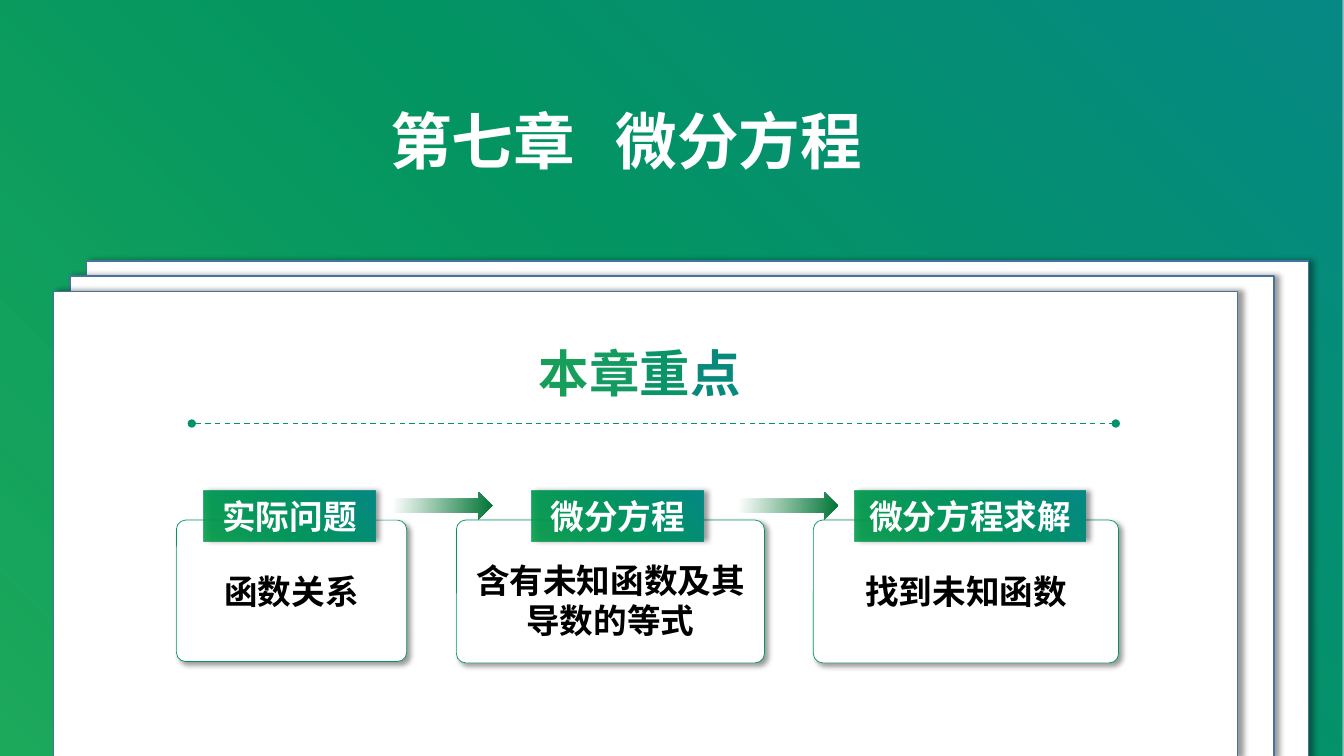
from dataclasses import dataclass

from lxml.etree import SubElement
from pptx import Presentation
from pptx.dml.color import RGBColor
from pptx.enum.dml import MSO_LINE_DASH_STYLE as Dash
from pptx.enum.shapes import MSO_CONNECTOR as Connector, MSO_SHAPE as Preset
from pptx.enum.text import MSO_ANCHOR as Anchor, PP_ALIGN as Align
from pptx.oxml import parse_xml
from pptx.oxml.ns import nsdecls, qn
from pptx.util import Pt

COLORS = {
    "white": "FFFFFF", "black": "000000", "sheet_edge": "43739E",
    "green": "009E47", "mid_green": "039463", "teal": "068885",
    "rule": "04926A", "arrow": "007434",
}
HEADING_COLORS = {"本": "189E5B", "章": "139B61", "重": "0B9467", "点": "078A7C"}
BODY_FONT, TITLE_FONT = "Calibri", "Noto Sans CJK SC"
BRAND_STOPS = ((0, "green", 88), (55, "mid_green", 100), (100, "teal", 100))
ARROW_STOPS = ((4, "white", 100), (100, "arrow", 100))
CORNER_PATH = ('<a:path path="circle"><a:fillToRect l="0" t="100000" '
               'r="100000" b="0"/></a:path>')
ARROW_PATH = '<a:lin ang="300000" scaled="0"/>'


@dataclass(frozen=True)
class Box:
    left: float
    top: float
    width: float
    height: float

    def lengths(self) -> tuple:
        return Pt(self.left), Pt(self.top), Pt(self.width), Pt(self.height)


@dataclass(frozen=True)
class Step:
    label: str
    lines: tuple
    card: Box
    tag: Box
    text_top: float


SHEETS = (Box(62, 186.5, 872.5, 355), Box(50, 197, 860, 344.5),
          Box(38, 208, 846, 333.5))
STEPS = (
    Step("实际问题", ("函数关系",),
         Box(126, 371.5, 164.5, 101), Box(145.5, 350.5, 122.5, 36), 404.5),
    Step("微分方程", ("含有未知函数及其", "导数的等式"),
         Box(326, 371.5, 220, 102), Box(380, 350.5, 122.5, 36), 396.5),
    Step("微分方程求解", ("找到未知函数",),
         Box(581, 371.5, 218, 102), Box(610.5, 350.5, 165, 36), 404),
)
ARROWS = (Box(278, 351.5, 73.5, 19.5), Box(525, 351.5, 73.5, 19.5))


def rgb(name: str) -> RGBColor:
    return RGBColor.from_string(COLORS[name])


def add_block(page, preset, box: Box, fill=None, edge=None, edge_width=1.0):
    shape = page.shapes.add_shape(preset, *box.lengths())
    shape.shadow.inherit = False
    if fill:
        shape.fill.solid()
        shape.fill.fore_color.rgb = rgb(fill)
    if edge:
        shape.line.color.rgb = rgb(edge)
        shape.line.width = Pt(edge_width)
    else:
        shape.line.fill.background()
    return shape


def set_gradient(shape, stops: tuple, path: str) -> None:
    shape.fill.background()
    marks = "".join(
        f'<a:gs pos="{place * 1000}"><a:srgbClr val="{COLORS[name]}">'
        f'<a:alpha val="{alpha * 1000}"/></a:srgbClr></a:gs>'
        for place, name, alpha in stops)
    gradient = parse_xml(f'<a:gradFill {nsdecls("a")} rotWithShape="1">'
                         f'<a:gsLst>{marks}</a:gsLst>{path}</a:gradFill>')
    properties = shape._element.spPr
    properties.replace(properties.find(qn("a:noFill")), gradient)


def add_shadow(shape, degrees: int = 0) -> None:
    effects = shape._element.spPr.find(qn("a:effectLst"))
    shadow = SubElement(effects, qn("a:outerShdw"), blurRad=str(Pt(4)),
                        dist=str(Pt(3)), dir=str(degrees * 60000), algn="l",
                        rotWithShape="0")
    color = SubElement(shadow, qn("a:srgbClr"), val=COLORS["black"])
    SubElement(color, qn("a:alpha"), val="40000")


def style(para, size: float, color: str, face: str = BODY_FONT) -> None:
    para.font.size = Pt(size)
    para.font.bold = True
    para.font.name = face
    para.font.color.rgb = rgb(color)


def add_text_box(page, box: Box):
    frame = page.shapes.add_textbox(*box.lengths()).text_frame
    frame.word_wrap = True
    return frame


def add_title(page) -> None:
    frame = add_text_box(page, Box(271.5, 70, 467, 60.5))
    frame.vertical_anchor = Anchor.MIDDLE
    para = frame.paragraphs[0]
    para.text = "第七章\t微分方程"
    tabs = SubElement(para._p.get_or_add_pPr(), qn("a:tabLst"))
    SubElement(tabs, qn("a:tab"), pos=str(Pt(161)), algn="l")
    style(para, 44, "white", TITLE_FONT)


def add_heading(page) -> None:
    frame = add_text_box(page, Box(367, 238, 180, 56))
    frame.vertical_anchor = Anchor.MIDDLE
    para = frame.paragraphs[0]
    para.alignment = Align.CENTER
    style(para, 36, "mid_green", TITLE_FONT)
    for letter, color in HEADING_COLORS.items():
        span = para.add_run()
        span.text = letter
        span.font.color.rgb = RGBColor.from_string(color)


def add_rule(page) -> None:
    rule = page.shapes.add_connector(Connector.STRAIGHT, Pt(137), Pt(302.5),
                                     Pt(797), Pt(302.5))
    rule.line.color.rgb = rgb("rule")
    rule.line.width = Pt(1)
    rule.line.dash_style = Dash.DASH
    outline = rule.line._get_or_add_ln()
    for end in ("a:headEnd", "a:tailEnd"):
        SubElement(outline, qn(end), type="oval")
    SubElement(rule._element.spPr, qn("a:effectLst"))


def add_step(page, step: Step) -> None:
    card = add_block(page, Preset.ROUNDED_RECTANGLE, step.card, "white",
                     "mid_green", 0.5)
    card.adjustments[0] = 0.065
    add_shadow(card, 45)

    tag = add_block(page, Preset.RECTANGLE, step.tag)
    set_gradient(tag, BRAND_STOPS, CORNER_PATH)
    add_shadow(tag)
    tag.text_frame.word_wrap = True
    para = tag.text_frame.paragraphs[0]
    para.text = step.label
    para.alignment = Align.CENTER
    style(para, 24, "white")

    frame = add_text_box(page, Box(step.card.left, step.text_top,
                                   step.card.width, 36 * len(step.lines)))
    for index, line in enumerate(step.lines):
        para = frame.add_paragraph() if index else frame.paragraphs[0]
        para.text = line
        para.alignment = Align.CENTER
        style(para, 24, "black")


def main() -> None:
    deck = Presentation()
    deck.slide_width, deck.slide_height = Pt(960), Pt(540)
    page = deck.slides.add_slide(deck.slide_layouts[6])

    # Backdrop and stacked sheets
    backdrop = add_block(page, Preset.RECTANGLE, Box(0, 0, 960, 541.5))
    set_gradient(backdrop, BRAND_STOPS, CORNER_PATH)
    for box in SHEETS:
        add_shadow(add_block(page, Preset.RECTANGLE, box, "white", "sheet_edge"))

    # Titles and dashed rule
    add_title(page)
    add_heading(page)
    add_rule(page)

    # Steps and the arrows between them
    for step in STEPS:
        add_step(page, step)
    for box in ARROWS:
        arrow = add_block(page, Preset.RIGHT_ARROW, box)
        set_gradient(arrow, ARROW_STOPS, ARROW_PATH)

    deck.save("out.pptx")


if __name__ == "__main__":
    main()
